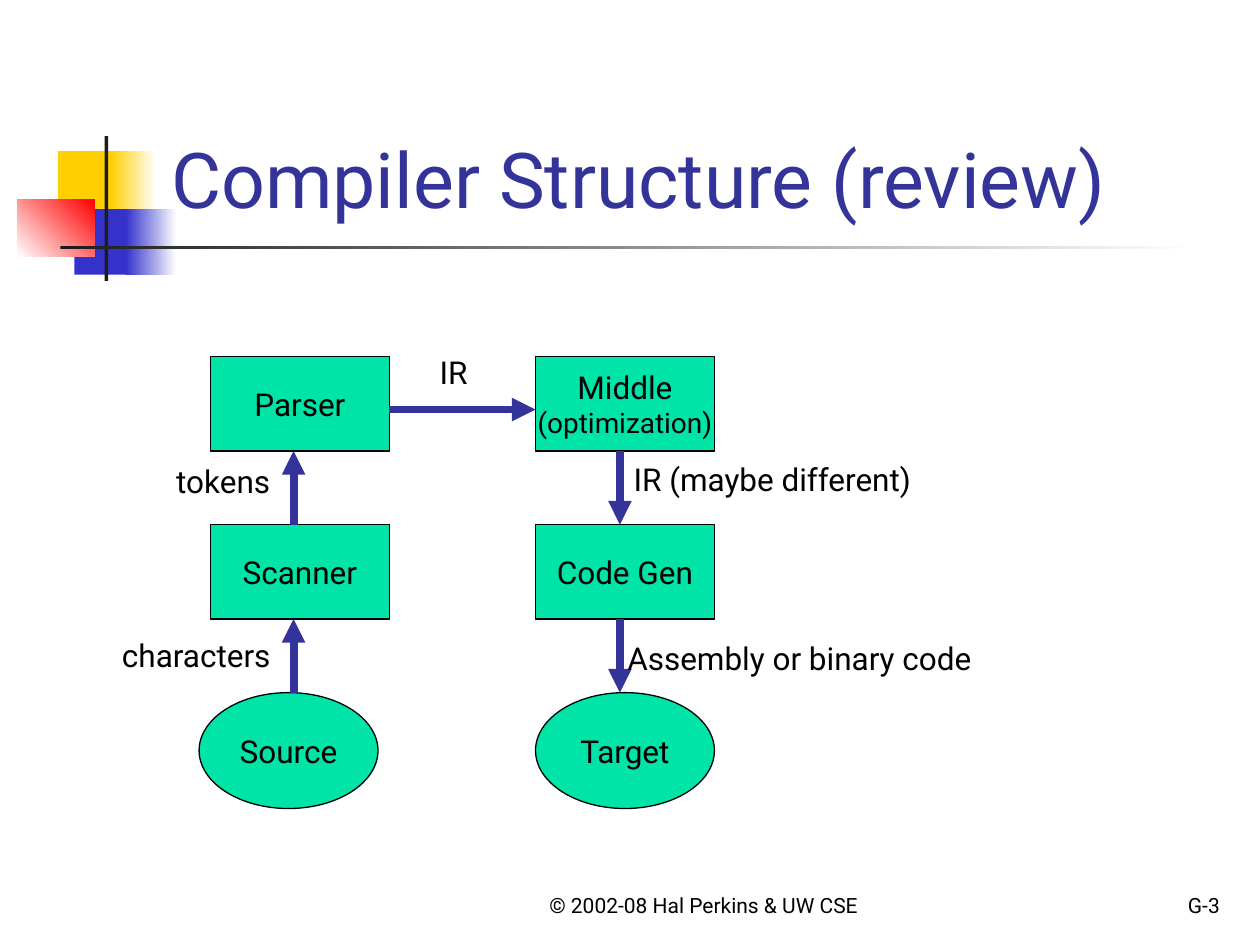
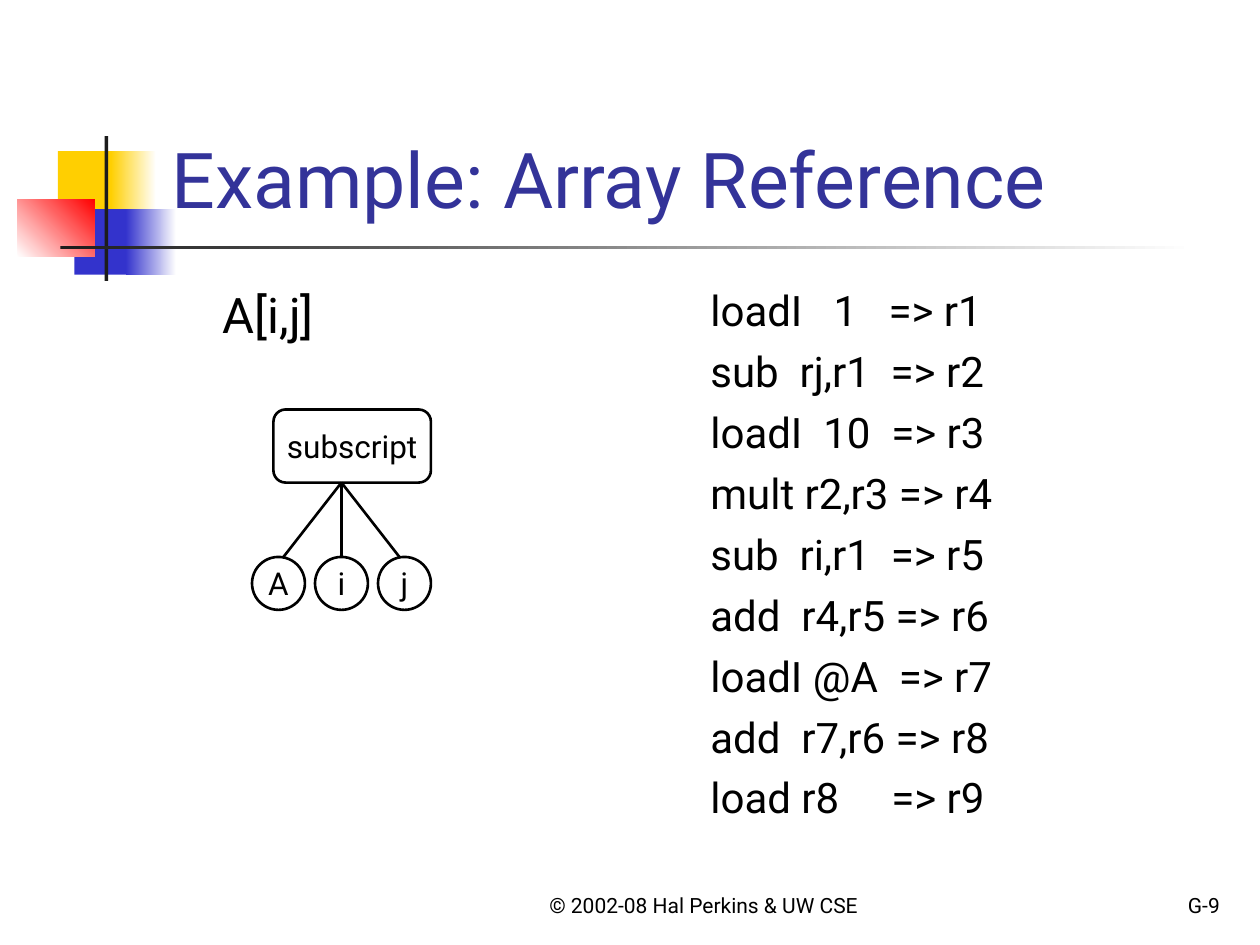
from dataclasses import dataclass

from lxml import etree
from pptx import Presentation
from pptx.dml.color import RGBColor
from pptx.enum.shapes import MSO_CONNECTOR as Line, MSO_SHAPE as Kind
from pptx.enum.text import MSO_ANCHOR as Anchor, MSO_AUTO_SIZE as Fit, PP_ALIGN as Align
from pptx.oxml.ns import qn
from pptx.util import Inches, Pt


@dataclass(frozen=True)
class Theme:
    font: str = "Roboto"
    ink: str = "000000"
    paper: str = "FFFFFF"
    title: str = "333399"
    node: str = "00E4A8"
    gold: str = "FFCF01"
    blue: str = "3333CC"
    red: str = "FF0000"
    bar: str = "1C1C1C"
    head: int = 44
    expr: int = 28
    code: int = 24
    label: int = 18
    small: int = 16
    foot: int = 12


T = Theme()


# Shared helpers
def rgb(tone):
    return RGBColor.from_string(tone)


def box(x, y, w, h):
    return [Inches(v) for v in (x, y, w, h)]


def write(para, text, size, tone=T.ink):
    run = para.add_run()
    run.text = text
    font = run.font
    font.name, font.size, font.color.rgb = T.font, Pt(size), rgb(tone)


def shape(slide, kind, area, fill=None, line=None):
    item = slide.shapes.add_shape(kind, *box(*area))
    item.shadow.inherit = False
    if fill:
        item.fill.solid()
        item.fill.fore_color.rgb = rgb(fill)
    else:
        item.fill.background()
    if line:
        item.line.color.rgb, item.line.width = rgb(T.ink), Pt(line)
    else:
        item.line.fill.background()
    return item


def fade(slide, area, start, end, angle=0):
    fill = shape(slide, Kind.RECTANGLE, area).fill
    fill.gradient()
    fill.gradient_angle = angle
    for stop, tone in zip(fill.gradient_stops, (start, end)):
        stop.color.rgb = rgb(tone)


def node(slide, kind, area, lines, fill=None, line=0.75):
    """Shape with centred lines, each a (text, size) pair."""
    frame = shape(slide, kind, area, fill, line).text_frame
    frame.word_wrap = False
    frame.vertical_anchor = Anchor.MIDDLE
    para = frame.paragraphs[0]
    para.alignment = Align.CENTER
    for i, (text, size) in enumerate(lines):
        if i:
            para.add_line_break()
        write(para, text, size)


def textbox(slide, area, lines, size, align=Align.LEFT, anchor=Anchor.TOP,
            wrap=True, gap=0):
    frame = slide.shapes.add_textbox(*box(*area)).text_frame
    frame.word_wrap = wrap
    frame.auto_size = Fit.NONE if wrap else Fit.SHAPE_TO_FIT_TEXT
    frame.vertical_anchor = anchor
    for i, text in enumerate(lines):
        para = frame.add_paragraph() if i else frame.paragraphs[0]
        para.alignment = align
        if i:
            para.space_before = Pt(gap)
        write(para, text, size)


def link(slide, x1, y1, x2, y2, tone=T.ink, width=1.5, arrow=False):
    line = slide.shapes.add_connector(Line.STRAIGHT, *box(x1, y1, x2, y2))
    line.line.color.rgb, line.line.width = rgb(tone), Pt(width)
    props = line._element.spPr
    if arrow:
        etree.SubElement(props.find(qn("a:ln")), qn("a:tailEnd"), type="triangle")
    etree.SubElement(props, qn("a:effectLst"))


# Frame shared by all slides
def band(slide, x, y):
    shape(slide, Kind.RECTANGLE, (x + 0.32, y + 0.12, 0.48, 0.52), T.gold)
    fade(slide, (x + 0.74, y + 0.12, 0.36, 0.52), T.gold, T.paper)
    shape(slide, Kind.RECTANGLE, (x + 0.45, y + 0.58, 0.46, 0.52), T.blue)
    fade(slide, (x + 0.86, y + 0.58, 0.4, 0.52), T.blue, T.paper)
    fade(slide, (x, y + 0.5, 0.61, 0.46), T.paper, T.red, 45)
    shape(slide, Kind.RECTANGLE, (x + 0.69, y, 0.03, 1.15), T.bar)
    fade(slide, (x + 0.34, y + 0.87, 9, 0.03), T.bar, T.paper)


def footer(slide, y, page):
    for area, text, align in (
        ((4, y, 3.17, 0.5), "© 2002-08 Hal Perkins & UW CSE", Align.CENTER),
        ((7.7, y, 2.08, 0.5), page, Align.RIGHT),
    ):
        textbox(slide, area, [text], T.foot, align, Anchor.BOTTOM)


def start(deck, text, page):
    slide = deck.slides.add_slide(deck.slide_layouts[5])
    band(slide, 0.14, 1.08)
    footer(slide, 6.83, page)
    title = slide.shapes.title
    title.left, title.top, title.width, title.height = box(1.26, 0.23, 8.52, 1.6)
    frame = title.text_frame
    frame.auto_size, frame.vertical_anchor = Fit.NONE, Anchor.BOTTOM
    frame.paragraphs[0].alignment = Align.LEFT
    write(frame.paragraphs[0], text, T.head, T.title)
    # Title goes in front of the band
    slide.shapes._spTree.append(title._element)
    return slide


# Compiler stages: source climbs on the left, target descends on the right
def flow(slide, x, y):
    wide, tall, step = 1.42, 0.75, 4 / 3
    left, right = x + 0.09, x + 2.67
    for col, row, lines in (
        (left, 0, [("Parser", T.label)]),
        (left, 1, [("Scanner", T.label)]),
        (right, 0, [("Middle", T.label), ("(optimization)", T.small)]),
        (right, 1, [("Code Gen", T.label)]),
    ):
        node(slide, Kind.RECTANGLE, (col, y + row * step, wide, tall), lines, T.node)
    for col, text in ((x, "Source"), (right, "Target")):
        node(slide, Kind.OVAL, (col, y + 2 * step, wide, 0.92),
             [(text, T.label)], T.node)

    # Arrows
    up, down = x + 0.75, x + 3.34
    paths = [(left + wide, y + 0.42, right, y + 0.42)]
    for row in range(2):
        top, base = y + row * step + tall, y + (row + 1) * step
        paths += [(up, base, up, top), (down, top, down, base)]
    for ends in paths:
        link(slide, *ends, T.title, 4.5, True)

    # Arrow labels
    for dx, dy, w, text in (
        (-0.71, 2.17, 1.43, "characters"),
        (-0.28, 0.79, 0.99, "tokens"),
        (1.81, -0.08, 0.44, "IR"),
        (3.35, 0.77, 2.53, "IR (maybe different)"),
        (3.3, 2.19, 3.08, "Assembly or binary code"),
    ):
        textbox(slide, (x + dx, y + dy, w, 0.4), [text], T.label, wrap=False)


# Syntax tree of the array reference
def tree(slide, x, y):
    node(slide, Kind.ROUNDED_RECTANGLE, (x + 0.17, y, 1.25, 0.58),
         [("subscript", T.label)], line=1.5)
    root = x + 0.71
    for i, name in enumerate("Aij"):
        node(slide, Kind.OVAL, (x + i * 0.5, y + 1.17, 0.42, 0.42),
             [(name, T.label)], line=1.5)
        link(slide, root, y + 0.58, root + (i - 1) * 0.46, y + 1.17)


CODE = [
    "loadI   1   => r1",
    "sub  rj,r1  => r2",
    "loadI  10  => r3",
    "mult r2,r3 => r4",
    "sub  ri,r1  => r5",
    "add  r4,r5 => r6",
    "loadI @A  => r7",
    "add  r7,r6 => r8",
    "load r8     => r9",
]


def main():
    deck = Presentation()
    deck.slide_width, deck.slide_height = Inches(10), Inches(7.5)

    slide = start(deck, "Compiler Structure (review)", "G-3")
    flow(slide, 1.58, 2.83)

    slide = start(deck, "Example: Array Reference", "G-9")
    textbox(slide, (1.67, 2.21, 3.8, 4.5), ["A[i,j]"], T.expr)
    textbox(slide, (5.54, 2.21, 3.54, 4.5), CODE, T.code, gap=6)
    tree(slide, 2, 3.25)

    deck.save("out.pptx")


if __name__ == "__main__":
    main()
